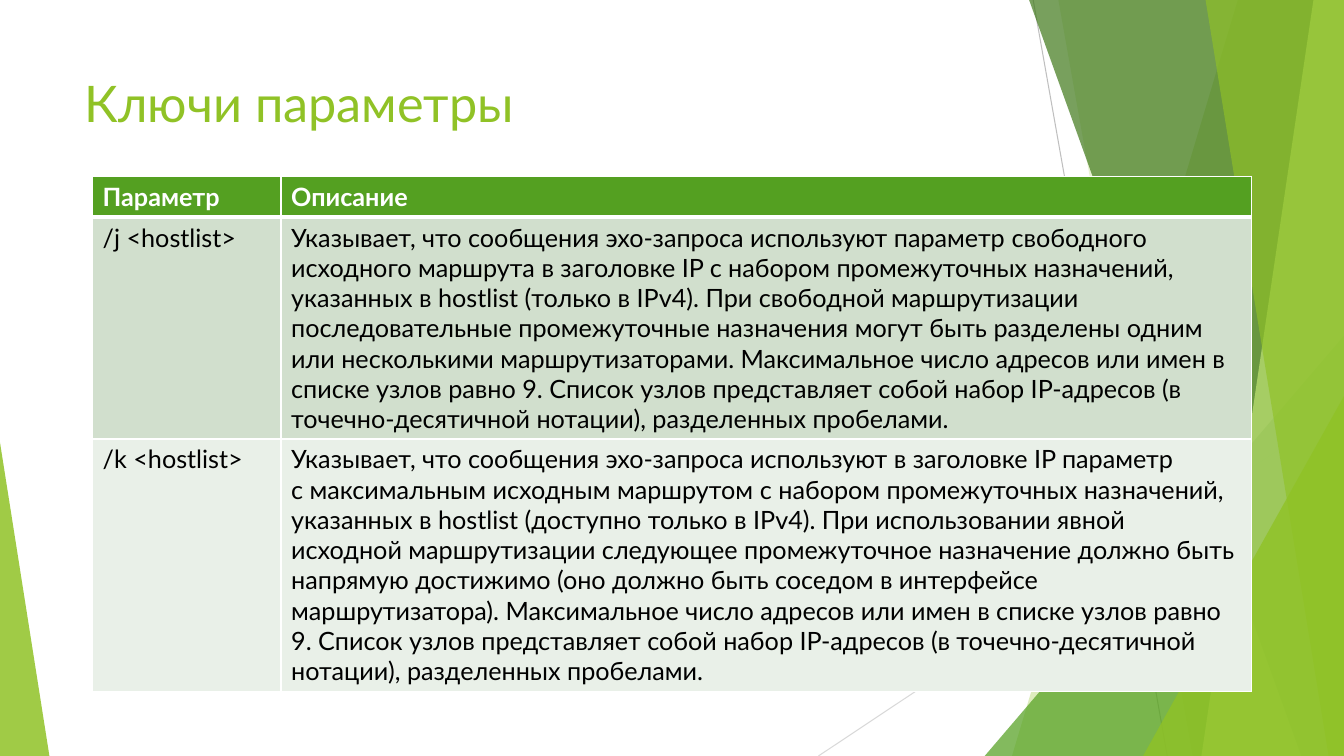
from dataclasses import dataclass

from lxml.etree import SubElement
from pptx import Presentation
from pptx.dml.color import RGBColor
from pptx.enum.shapes import MSO_CONNECTOR, MSO_SHAPE
from pptx.enum.text import MSO_ANCHOR, MSO_AUTO_SIZE, PP_ALIGN
from pptx.oxml.ns import qn
from pptx.util import Pt

WIDTH, HEIGHT = 960, 540
FONT = "Lato"
WHITE = RGBColor(0xFF, 0xFF, 0xFF)
BLACK = RGBColor(0x00, 0x00, 0x00)
LIME = RGBColor(0x90, 0xC2, 0x26)
PALE_LIME = RGBColor(0xC0, 0xE4, 0x74)
GREEN = RGBColor(0x54, 0xA0, 0x21)
DARK_GREEN = RGBColor(0x3F, 0x78, 0x19)
ROW_DARK = RGBColor(0xD1, 0xDF, 0xCD)
ROW_LIGHT = RGBColor(0xE9, 0xF0, 0xE8)
GRAY = RGBColor(0xBF, 0xBF, 0xBF)
LIGHT_GRAY = RGBColor(0xD9, 0xD9, 0xD9)


@dataclass
class Ray:
    x1: float
    y1: float
    x2: float
    y2: float
    color: RGBColor


@dataclass
class Band:
    """Full-height strip from a slanted left edge to the right slide edge."""
    top_x: float
    bottom_x: float
    color: RGBColor
    opacity: int


@dataclass
class Corner:
    """Right triangle standing on the bottom slide edge."""
    left: float
    top: float
    width: float
    apex: float
    color: RGBColor
    opacity: int


@dataclass
class Row:
    height: float
    texts: tuple[str, str]
    fill: RGBColor
    color: RGBColor = BLACK
    bold: bool = False
    top_line: float = 1
    bottom_line: float = 1


RAYS = [
    Ray(738, 0, 833.8, HEIGHT, GRAY),
    Ray(WIDTH, 290.2, 584.6, HEIGHT, LIGHT_GRAY),
]
FACETS = [
    Band(884.2, 722.9, LIME, 30),
    Band(756, 851.8, LIME, 20),
    Corner(703.4, 239.8, 256.6, 1, GREEN, 72),
    Band(735.1, 929.5, DARK_GREEN, 70),
    Band(938.2, 858.2, PALE_LIME, 70),
    Band(861.1, 949, LIME, 65),
    Corner(816.5, 283, 143.5, 1, LIME, 80),
    Corner(0, 316.1, 35.3, 0, LIME, 85),
]
NODES_LIMIT = (
    "Максимальное число адресов или имен в списке узлов равно 9. "
    "Список узлов представляет собой набор IP-адресов "
    "(в точечно-десятичной нотации), разделенных пробелами."
)
COLUMNS = (134.6, 693.4)
ROWS = [
    Row(29.2, ("Параметр", "Описание"), GREEN, WHITE, True, bottom_line=3),
    Row(158.4, (
        "/j <hostlist>",
        "Указывает, что сообщения эхо-запроса используют "
        "параметр\u00a0свободного исходного маршрута\u00a0в заголовке IP "
        "с набором промежуточных назначений, указанных "
        "в\u00a0hostlist\u00a0(только в IPv4). При свободной маршрутизации "
        "последовательные промежуточные назначения могут быть разделены "
        "одним или несколькими маршрутизаторами. " + NODES_LIMIT,
    ), ROW_DARK, top_line=3),
    Row(180, (
        "/k <hostlist>",
        "Указывает, что сообщения эхо-запроса используют в заголовке IP "
        "параметр с\u00a0максимальным исходным маршрутом\u00a0с набором "
        "промежуточных назначений, указанных в\u00a0hostlist\u00a0(доступно "
        "только в IPv4). При использовании явной исходной маршрутизации "
        "следующее промежуточное назначение должно быть напрямую достижимо "
        "(оно должно быть соседом в интерфейсе маршрутизатора). "
        + NODES_LIMIT,
    ), ROW_LIGHT),
]


def draw_ray(s, ray: Ray) -> None:
    line = s.shapes.add_connector(
        MSO_CONNECTOR.STRAIGHT, Pt(ray.x1), Pt(ray.y1), Pt(ray.x2), Pt(ray.y2))
    line.line.color.rgb = ray.color
    line.line.width = Pt(0.75)
    SubElement(line.element.spPr, qn("a:effectLst"))


def draw_facet(s, facet: Band | Corner) -> None:
    if isinstance(facet, Band):
        outline = s.shapes.build_freeform(Pt(facet.top_x), 0)
        outline.add_line_segments([
            (Pt(WIDTH), 0), (Pt(WIDTH), Pt(HEIGHT)),
            (Pt(facet.bottom_x), Pt(HEIGHT))], close=True)
        sp = outline.convert_to_shape()
    else:
        sp = s.shapes.add_shape(
            MSO_SHAPE.ISOSCELES_TRIANGLE, Pt(facet.left), Pt(facet.top),
            Pt(facet.width), Pt(HEIGHT - facet.top))
        sp.adjustments[0] = facet.apex
    sp.shadow.inherit = False
    sp.line.fill.background()
    sp.fill.solid()
    sp.fill.fore_color.rgb = facet.color
    color = sp.element.spPr.find(qn("a:solidFill")).find(qn("a:srgbClr"))
    SubElement(color, qn("a:alpha"), val=str(facet.opacity * 1000))


def style_run(r, size: float, color: RGBColor, bold: bool = False) -> None:
    r.font.name = FONT
    r.font.size = Pt(size)
    r.font.bold = bold
    r.font.color.rgb = color


def set_borders(cell, top: float, bottom: float) -> None:
    tc_pr = cell._tc.get_or_add_tcPr()
    for side, width in (("L", 1), ("R", 1), ("T", top), ("B", bottom)):
        ln = SubElement(tc_pr, qn(f"a:ln{side}"), w=str(Pt(width)))
        fill = SubElement(ln, qn("a:solidFill"))
        SubElement(fill, qn("a:srgbClr"), val=str(WHITE))


def fill_row(table, index: int, row: Row) -> None:
    table.rows[index].height = Pt(row.height)
    for cell, text in zip(table.rows[index].cells, row.texts):
        set_borders(cell, row.top_line, row.bottom_line)
        cell.fill.solid()
        cell.fill.fore_color.rgb = row.fill
        cell.text_frame.text = text
        style_run(cell.text_frame.paragraphs[0].runs[0],
                  18, row.color, row.bold)


prs = Presentation()
prs.slide_width, prs.slide_height = Pt(WIDTH), Pt(HEIGHT)
s = prs.slides.add_slide(prs.slide_layouts.get_by_name("Title Only"))

# Background facets
for ray in RAYS:
    draw_ray(s, ray)
for facet in FACETS:
    draw_facet(s, facet)

# Title, raised above the facets
title = s.shapes.title
title.element.getparent().append(title.element)
title.left, title.top = Pt(53.3), Pt(48)
title.width, title.height = Pt(676.8), Pt(104)
tf = title.text_frame
tf.text = "Ключи параметры"
tf.auto_size = MSO_AUTO_SIZE.NONE
tf.vertical_anchor = MSO_ANCHOR.TOP
p = tf.paragraphs[0]
p.alignment = PP_ALIGN.LEFT
style_run(p.runs[0], 36, LIME)

# Parameter table
table = s.shapes.add_table(
    len(ROWS), len(COLUMNS), Pt(66.2), Pt(126), Pt(sum(COLUMNS)),
    Pt(sum(row.height for row in ROWS))).table
table.horz_banding = False
for column, width in zip(table.columns, COLUMNS):
    column.width = Pt(width)
for index, row in enumerate(ROWS):
    fill_row(table, index, row)

prs.save("out.pptx")
